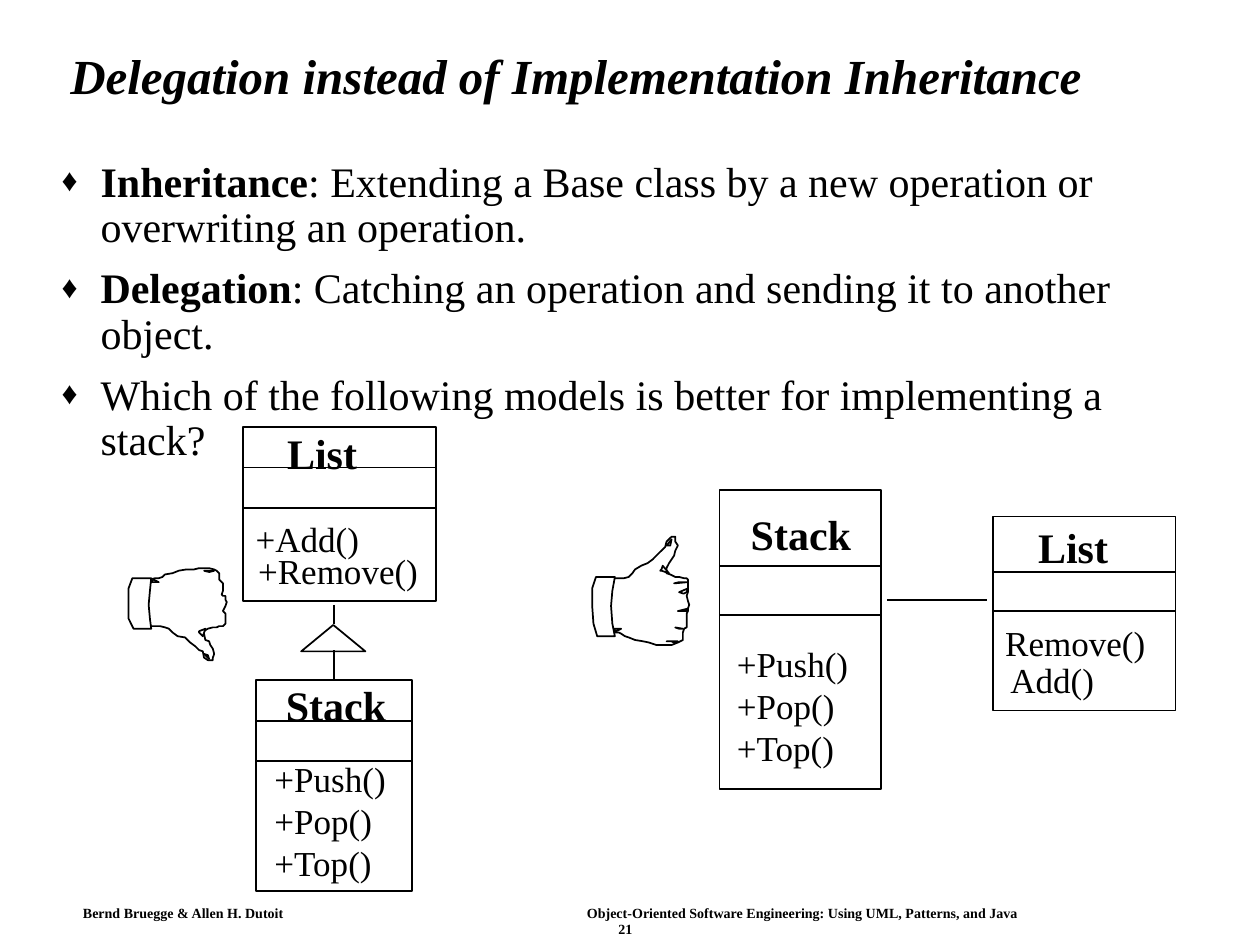
from lxml import etree
from pptx import Presentation
from pptx.dml.color import RGBColor
from pptx.enum.shapes import MSO_CONNECTOR, MSO_SHAPE
from pptx.enum.text import MSO_ANCHOR
from pptx.oxml.ns import qn
from pptx.util import Inches, Pt

BLACK = RGBColor(0, 0, 0)
WHITE = RGBColor(255, 255, 255)
RECT, TRIANGLE = MSO_SHAPE.RECTANGLE, MSO_SHAPE.ISOSCELES_TRIANGLE
STRAIGHT = MSO_CONNECTOR.STRAIGHT
TOP, MIDDLE = MSO_ANCHOR.TOP, MSO_ANCHOR.MIDDLE
FONT = "Times New Roman"

prs = Presentation()
prs.slide_width, prs.slide_height = Inches(10), Inches(7.5)
s = prs.slides.add_slide(prs.slide_layouts[6])
U = prs.slide_width // 1000  # grid of 1000 columns by 750 rows


def add_text(x, y, w, h, lines, anchor=TOP, spacing=None, bullet=None, **fmt):
    """Add a text box; each line is a list of (text, bold) runs."""
    tb = s.shapes.add_textbox(x * U, y * U, w * U, h * U)
    tf = tb.text_frame
    tf.word_wrap, tf.vertical_anchor = True, anchor
    for i, runs in enumerate(lines):
        p = tf.paragraphs[0] if i == 0 else tf.add_paragraph()
        if spacing:
            p.line_spacing = spacing
        if bullet:
            pPr = p._p.get_or_add_pPr()
            pPr.set("marL", str(31 * U))
            pPr.set("indent", str(-31 * U))
            etree.SubElement(pPr, qn("a:buSzPct"), val="75000")
            etree.SubElement(pPr, qn("a:buFont"), typeface=FONT)
            etree.SubElement(pPr, qn("a:buChar"), char=bullet)
            if i:
                p.space_before = Pt(9)
        for text, bold in runs:
            r = p.add_run()
            r.text = text
            r.font.color.rgb = BLACK
            for name, value in {"name": FONT, "bold": bold, **fmt}.items():
                setattr(r.font, name, value)


def draw(sp):
    """Give a shape or connector a thin black line, no shadow and, if closed, a white fill."""
    sp.line.color.rgb = BLACK
    sp.line.width = Pt(1)
    if hasattr(sp, "fill"):
        sp.shadow.inherit = False
        sp.fill.solid()
        sp.fill.fore_color.rgb = WHITE
    else:
        etree.SubElement(sp._element.spPr, qn("a:effectLst"))


# Footer, title and bullets
for x, y, w, text in [
    (56, 713, 200, "Bernd Bruegge & Allen H. Dutoit"),
    (456, 713, 400, "Object-Oriented Software Engineering: Using UML, Patterns, and Java"),
    (481, 726, 40, "21"),
]:
    add_text(x, y, w, 21, [[(text, True)]], size=Pt(8))

add_text(46, 24, 892, 77, [[("Delegation instead of Implementation Inheritance", True)]],
         anchor=MIDDLE, spacing=0.9, size=Pt(28), italic=True)
add_text(39, 123, 903, 538, [
    [("Inheritance", True),
     (": Extending a Base class by a new operation or overwriting an operation.", False)],
    [("Delegation", True),
     (": Catching an operation and sending it to another object.", False)],
    [("Which of the following models is better for implementing a stack?", False)],
], spacing=0.9, bullet="♦", size=Pt(24))

# Hands: each outline is a row of x,y grid points
THUMB_UP = [
    "485,480 485,462 486,459 495,459 499,458 502,455 504,452 509,449 514,447 518,444 "
    "522,440 525,437 528,434 529,430 532,427 533,426 536,426 536,430 538,433 536,437 "
    "535,441 533,444 531,447 529,451 529,455 532,456 536,458 539,458 543,459 545,459 "
    "546,460 546,470 545,473 546,477 547,480 546,483 546,485 545,487 545,498 543,499 "
    "542,502 542,508 540,509 538,510 533,512 521,512 515,510 510,509 504,508 499,506 "
    "496,505 493,503 491,502 488,502 486,501 485,498",
    "526,449 525,452 524,453 525,453 531,455",
    "529,433 532,433 533,428",
    "546,467 545,470 543,471 542,471 539,470",
    "546,483 545,485 538,485",
    "542,499 539,499 536,498",
    "538,509 535,510 533,509 529,509",
    "486,499 489,501 493,499",
    "546,462 539,462 535,463",
    "488,458 486,469 485,481 486,495 488,505 474,505 471,495 470,481 470,467 473,458",
]
THUMB_DOWN = [
    "117,478 117,494 120,497 127,497 131,498 134,499 137,502 141,505 147,506 151,510 "
    "155,513 158,516 161,517 162,522 165,524 169,524 169,522 170,519 169,515 167,512 "
    "166,509 163,508 162,503 162,501 165,499 169,498 172,498 174,497 177,497 179,495 "
    "179,487 177,485 179,481 180,478 179,476 179,473 177,473 176,472 177,469 177,463 "
    "176,462 174,460 174,455 172,453 170,452 166,451 158,451 154,452 148,452 142,453 "
    "137,455 131,456 129,458 126,459 123,459 119,460 117,463",
    "161,505 158,502 158,501 163,499",
    "162,519 165,520 166,523",
    "170,453 166,454 162,453",
    "119,462 122,460 126,462",
    "120,459 119,469 118,480 119,491 120,499 106,499 102,491 102,480 102,467 105,459",
]
for outline in THUMB_UP + THUMB_DOWN:
    points = [tuple(map(int, pair.split(","))) for pair in outline.split()]
    fb = s.shapes.build_freeform(*points[0], scale=U)
    fb.add_line_segments(points[1:], close=True)
    draw(fb.convert_to_shape())

# Class boxes: frame, divider rows, name place, blocks of operations
STACK_OPS = ["+Push()", "+Pop()", "+Top()"]
CLASSES = [
    ((193, 339, 153, 138), (371, 403), (218, 334, 85, "List"),
     [(193, 406, 112, ["+Add()"]), (195, 431, 155, ["+Remove()"])]),
    ((203, 540, 124, 167), (572, 604), (217, 534, 109, "Stack"),
     [(208, 596, 118, STACK_OPS)]),
    ((571, 389, 128, 237), (449, 488), (586, 399, 109, "Stack"),
     [(575, 505, 118, STACK_OPS)]),
    ((788, 410, 145, 154), (454, 485), (814, 409, 85, "List"),
     [(788, 488, 140, ["Remove()"]), (792, 518, 96, ["Add()"])]),
]
links = [(265, 480, 265, 495), (265, 516, 265, 539), (704, 476, 783, 476)]
for (x, y, w, h), dividers, (name_x, name_y, name_w, name), blocks in CLASSES:
    draw(s.shapes.add_shape(RECT, x * U, y * U, w * U, h * U))
    links += [(x, row, x + w, row) for row in dividers]
    add_text(name_x, name_y, name_w, 50, [[(name, True)]], size=Pt(24))
    for op_x, op_y, op_w, ops in blocks:
        add_text(op_x, op_y, op_w, 10 + 33 * len(ops), [[(op, False)] for op in ops], size=Pt(20))

draw(s.shapes.add_shape(TRIANGLE, 239 * U, 496 * U, 51 * U, 21 * U))
for link in links:
    draw(s.shapes.add_connector(STRAIGHT, *(v * U for v in link)))

prs.save("out.pptx")
